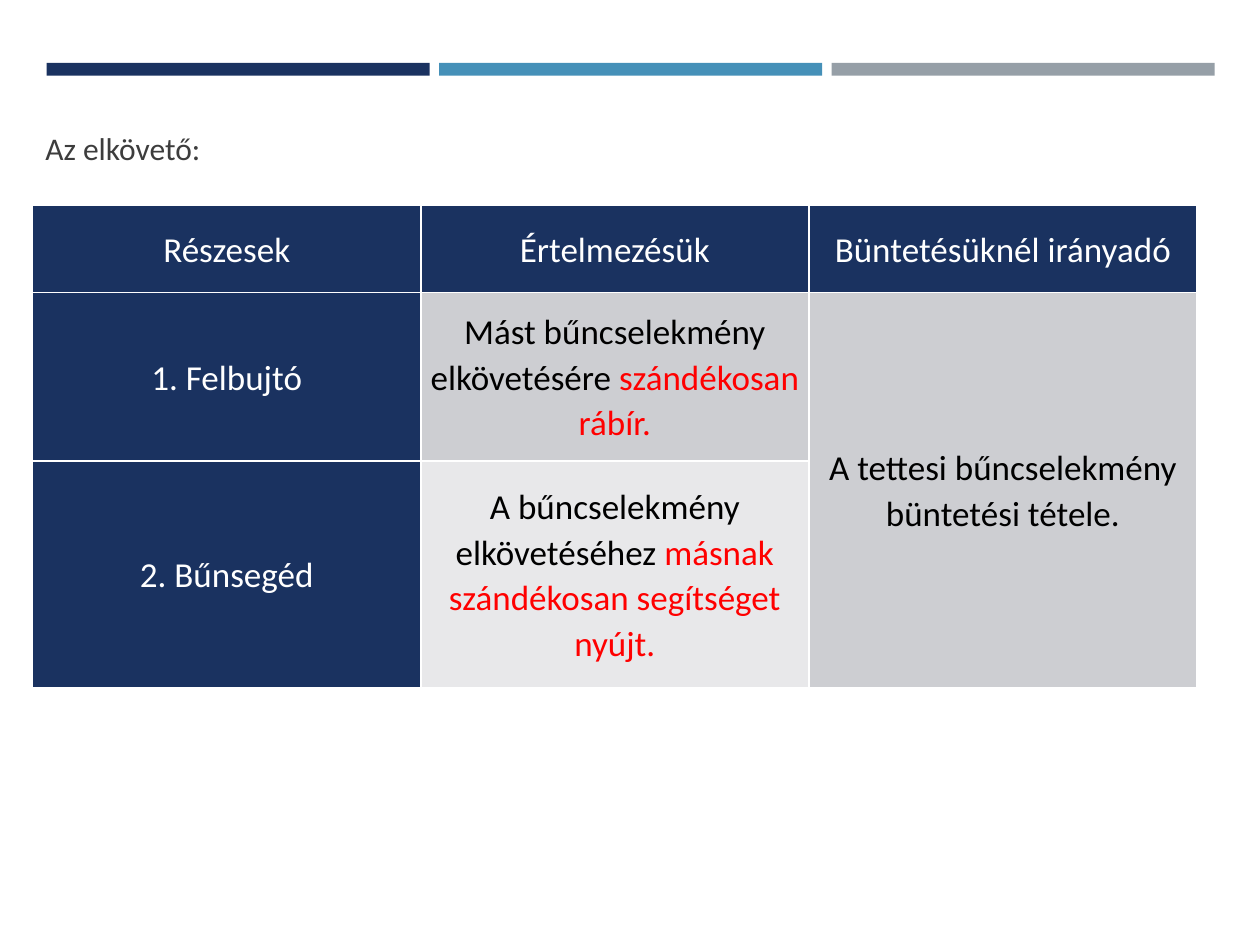
from lxml import etree
from pptx import Presentation, util as u
from pptx.dml.color import RGBColor
from pptx.enum import shapes, text
from pptx.oxml import ns

NAVY, WHITE, BLACK, RED = "1A3260", "FFFFFF", "000000", "FF0000"
GREY, PALE = "CDCED2", "E8E8EA"


def paint(target, color):
    """Give a fill a solid colour, or a font its colour."""
    if hasattr(target, "solid"):
        target.solid()
        target.fore_color.rgb = RGBColor.from_string(color)
    else:
        target.color.rgb = RGBColor.from_string(color)


def add_run(paragraph, words, size, color):
    run = paragraph.add_run()
    run.text = words
    run.font.name, run.font.size, run.font.bold = "Calibri", u.Pt(size), False
    paint(run.font, color)


presentation = Presentation()
presentation.slide_width, presentation.slide_height = u.Inches(10), u.Inches(7.5)
slide = presentation.slides.add_slide(presentation.slide_layouts[5])
paint(slide.background.fill, WHITE)

# Three bars across the top
bar_left, bar_width, bar_pitch = 0.37, 3.04, 3.115
for column, color in enumerate([NAVY, "4590B8", "969FA7"]):
    bar = slide.shapes.add_shape(
        shapes.MSO_SHAPE.RECTANGLE, u.Inches(bar_left + column * bar_pitch),
        u.Inches(0.5), u.Inches(bar_width), u.Inches(0.1))
    bar.shadow.inherit = False
    paint(bar.fill, color)
    bar.line.fill.background()

# Title
title = slide.shapes.title
title.left, title.top = u.Inches(0.26), u.Inches(0.97)
title.width, title.height = u.Inches(8.98), u.Inches(0.4)
title.text_frame.word_wrap = True
title.text_frame.auto_size = text.MSO_AUTO_SIZE.NONE
title.text_frame.vertical_anchor = text.MSO_ANCHOR.MIDDLE
paragraph = title.text_frame.paragraphs[0]
paragraph.alignment = text.PP_ALIGN.LEFT
add_run(paragraph, "Az elkövető:", 18, "3D3D3D")

# Table: each cell is a fill and its runs; None is covered by the cell above
rows = [
    [(NAVY, [("Részesek", WHITE)]),
     (NAVY, [("Értelmezésük", WHITE)]),
     (NAVY, [("Büntetésüknél irányadó", WHITE)])],
    [(NAVY, [("1. Felbujtó", WHITE)]),
     (GREY, [("Mást bűncselekmény elkövetésére ", BLACK), ("szándékosan rábír.", RED)]),
     (GREY, [("A tettesi bűncselekmény büntetési tétele.", BLACK)])],
    [(NAVY, [("2. Bűnsegéd", WHITE)]),
     (PALE, [("A bűncselekmény elkövetéséhez ", BLACK),
             ("másnak szándékosan segítséget nyújt.", RED)]),
     None],
]
column_width, row_heights = 3.08, [0.69, 1.34, 1.8]
table = slide.shapes.add_table(
    len(rows), 3, u.Inches(0.26), u.Inches(1.63),
    u.Inches(3 * column_width), u.Inches(sum(row_heights))).table
table.first_row = table.horz_banding = False
for column in table.columns:
    column.width = u.Inches(column_width)
for row, height in zip(table.rows, row_heights):
    row.height = u.Inches(height)
table.cell(1, 2).merge(table.cell(2, 2))

for row_index, row in enumerate(rows):
    for column_index, content in enumerate(row):
        cell = table.cell(row_index, column_index)
        properties = cell._tc.get_or_add_tcPr()
        for side in ["lnL", "lnR", "lnT", "lnB"]:
            border = etree.SubElement(properties, ns.qn(f"a:{side}"), w=str(u.Pt(1)))
            line_fill = etree.SubElement(border, ns.qn("a:solidFill"))
            etree.SubElement(line_fill, ns.qn("a:srgbClr"), val=WHITE)
        if content is None:
            continue
        fill, runs = content
        paint(cell.fill, fill)
        cell.margin_left = cell.margin_right = u.Inches(0.06)
        cell.margin_top = cell.margin_bottom = 0
        cell.vertical_anchor = text.MSO_ANCHOR.MIDDLE
        paragraph = cell.text_frame.paragraphs[0]
        paragraph.alignment = text.PP_ALIGN.CENTER
        paragraph.line_spacing = 1.07
        for words, color in runs:
            add_run(paragraph, words, 20, color)

presentation.save("out.pptx")
